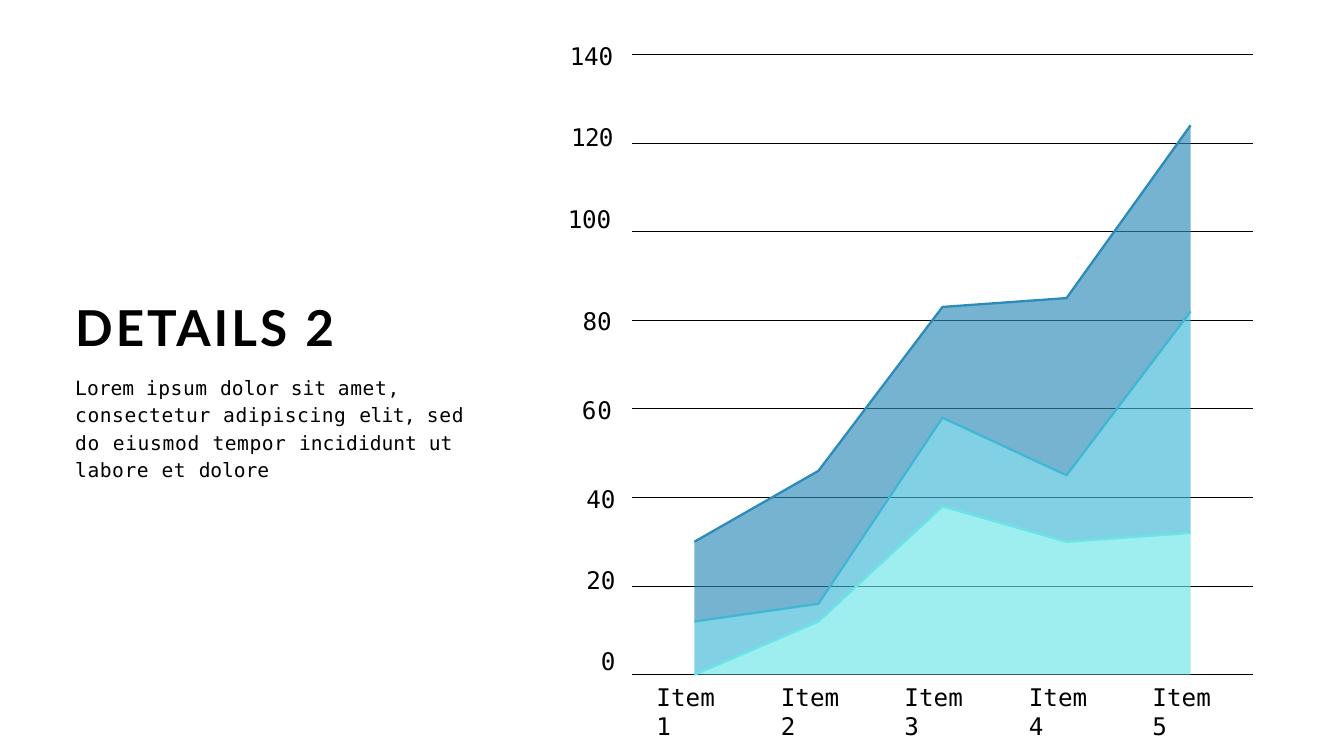
from dataclasses import dataclass

from lxml import etree
from pptx import Presentation
from pptx.dml.color import RGBColor
from pptx.enum.shapes import MSO_CONNECTOR
from pptx.enum.text import MSO_AUTO_SIZE, PP_ALIGN
from pptx.oxml.ns import qn
from pptx.util import Pt

PX = 9144  # 100 px to the inch
WIDE, HIGH = 2000, 1125
LINE = MSO_CONNECTOR.STRAIGHT
GROW = MSO_AUTO_SIZE.SHAPE_TO_FIT_TEXT
LEFT, RIGHT = PP_ALIGN.LEFT, PP_ALIGN.RIGHT

BLACK = RGBColor(0x00, 0x00, 0x00)
BLUE = RGBColor(0x2D, 0x8B, 0xB9)
CYAN = RGBColor(0x40, 0xB8, 0xD5)
AQUA = RGBColor(0x6B, 0xE4, 0xE7)

HEAD = {"name": "Lato", "size": Pt(53), "bold": True}
BODY = {"name": "DejaVu Sans Mono", "size": Pt(21), "bold": False}
LABEL = {"name": "DejaVu Sans Mono", "size": Pt(26), "bold": False}

# Plot frame and value scale
X0, X1 = 941, 1864
TOP, BASE = 81, 1004
PEAK, STEP = 140, 20
COUNT = 5
SLOT = (X1 - X0) / COUNT


@dataclass
class Series:
    color: RGBColor
    values: tuple[int, ...]


@dataclass
class Para:
    runs: list[tuple[str, float]]  # wording and letter spacing in points
    font: dict
    indent: int = 0
    align: PP_ALIGN = LEFT
    format: dict | None = None


@dataclass
class Box:
    x: int
    y: int
    w: int
    h: int
    paras: list[Para]
    inset: int = 4


def level(value: float) -> float:
    return BASE - value * (BASE - TOP) / PEAK


def points(values: tuple[int, ...]) -> list[tuple[int, int]]:
    return [(round((X0 + SLOT * (i + 0.5)) * PX), round(level(v) * PX))
            for i, v in enumerate(values)]


def outline(shapes, spots: list[tuple[int, int]], close: bool):
    pen = shapes.build_freeform(*spots[0])
    pen.add_line_segments(spots[1:], close=close)
    shape = pen.convert_to_shape()
    shape.shadow.inherit = False
    return shape


def draw_area(shapes, upper: Series, lower: tuple[int, ...]) -> None:
    spots = points(upper.values) + points(lower)[::-1]
    shape = outline(shapes, spots, True)
    shape.line.fill.background()
    shape.fill.solid()
    shape.fill.fore_color.rgb = upper.color
    tint = shape.fill._xPr.find(qn("a:solidFill"))[0]
    etree.SubElement(tint, qn("a:alpha"), val="65000")


def draw_edge(shapes, series: Series) -> None:
    shape = outline(shapes, points(series.values), False)
    shape.fill.background()
    shape.line.color.rgb = series.color
    shape.line.width = Pt(2.46)


def draw_grid(shapes, value: int) -> None:
    y = round(level(value) * PX)
    line = shapes.add_connector(LINE, X0 * PX, y, X1 * PX, y)
    line.line.color.rgb = BLACK
    line.line.width = Pt(0.82)
    etree.SubElement(line._element.spPr, qn("a:effectLst"))


def draw_text(shapes, box: Box) -> None:
    shape = shapes.add_textbox(box.x * PX, box.y * PX, box.w * PX, box.h * PX)
    frame = shape.text_frame
    look = {"word_wrap": True, "auto_size": GROW, "margin_left": 0,
            "margin_right": 0, "margin_top": box.inset * PX, "margin_bottom": 0}
    for name, value in look.items():
        setattr(frame, name, value)
    for i, part in enumerate(box.paras):
        para = frame.add_paragraph() if i else frame.paragraphs[0]
        para._p.get_or_add_pPr().set("marL", str(part.indent * PX))
        for name, value in {"alignment": part.align, **(part.format or {})}.items():
            setattr(para, name, value)
        for text, gap in part.runs:
            run = para.add_run()
            run.text = text
            for name, value in part.font.items():
                setattr(run.font, name, value)
            run.font.color.rgb = BLACK
            run._r.get_or_add_rPr().set("spc", str(round(gap * 100)))


def ticks(rows: list[tuple[str, float, int]], align: PP_ALIGN = LEFT) -> list[Para]:
    return [Para([(text, gap)], LABEL, indent, align,
                 {"space_before": Pt(56)} if i else None)
            for i, (text, gap, indent) in enumerate(rows)]


def main() -> None:
    deck = Presentation()
    deck.slide_width, deck.slide_height = WIDE * PX, HIGH * PX
    shapes = deck.slides.add_slide(deck.slide_layouts[6]).shapes

    # Title and body
    words = [("Lorem ", 0), ("ipsum ", 0.6), ("dolor ", 0), ("sit ", -0.1),
             ("amet, ", 0.7), ("consectetur adipiscing ", 0.6), ("elit, ", -0.7),
             ("sed do ", 0.8), ("eiusmod ", 0.7), ("tempor ", 0.6),
             ("incididunt ut ", 0), ("labore et ", 0.6), ("dolore", -0.1)]
    draw_text(shapes, Box(111, 439, 597, 237, [
        Para([("DETAILS ", 3.2), ("2", 8.2)], HEAD, 1),
        Para(words, BODY, 1,
             format={"line_spacing": 1.16, "space_before": Pt(16.9)}),
    ], 3))

    # Grid lines
    for value in range(0, PEAK + 1, STEP):
        draw_grid(shapes, value)

    # Stacked bands, then their upper edges
    stack = [Series(BLUE, (30, 46, 83, 85, 124)),
             Series(CYAN, (12, 16, 58, 45, 82)),
             Series(AQUA, (0, 12, 38, 30, 32))]
    floors = [series.values for series in stack[1:]] + [(0,) * COUNT]
    for series, floor in zip(stack, floors):
        draw_area(shapes, series, floor)
    for series in stack:
        draw_edge(shapes, series)

    # Item labels
    for i, gap in enumerate((-3.1, -1.6, -0.8, -0.5, -0.5)):
        runs = [("Item ", 0), (str(i + 1), gap)]
        draw_text(shapes, Box(976 + round(i * SLOT), 1011, 113, 47,
                              [Para(runs, LABEL, 1)]))

    # Value labels
    for box in (
        Box(866, 716, 50, 310,
            ticks([("40", -0.2, 0), ("20", -0.2, 0), ("0", 1.3, 0)], RIGHT)),
        Box(865, 584, 52, 47, ticks([("60", 0.9, 1)])),
        Box(866, 452, 50, 47, ticks([("80", -0.2, 1)])),
        Box(844, 57, 73, 310,
            ticks([("140", -0.3, 4), ("120", -0.8, 6), ("100", -0.2, 1)])),
    ):
        draw_text(shapes, box)

    deck.save("out.pptx")


if __name__ == "__main__":
    main()
